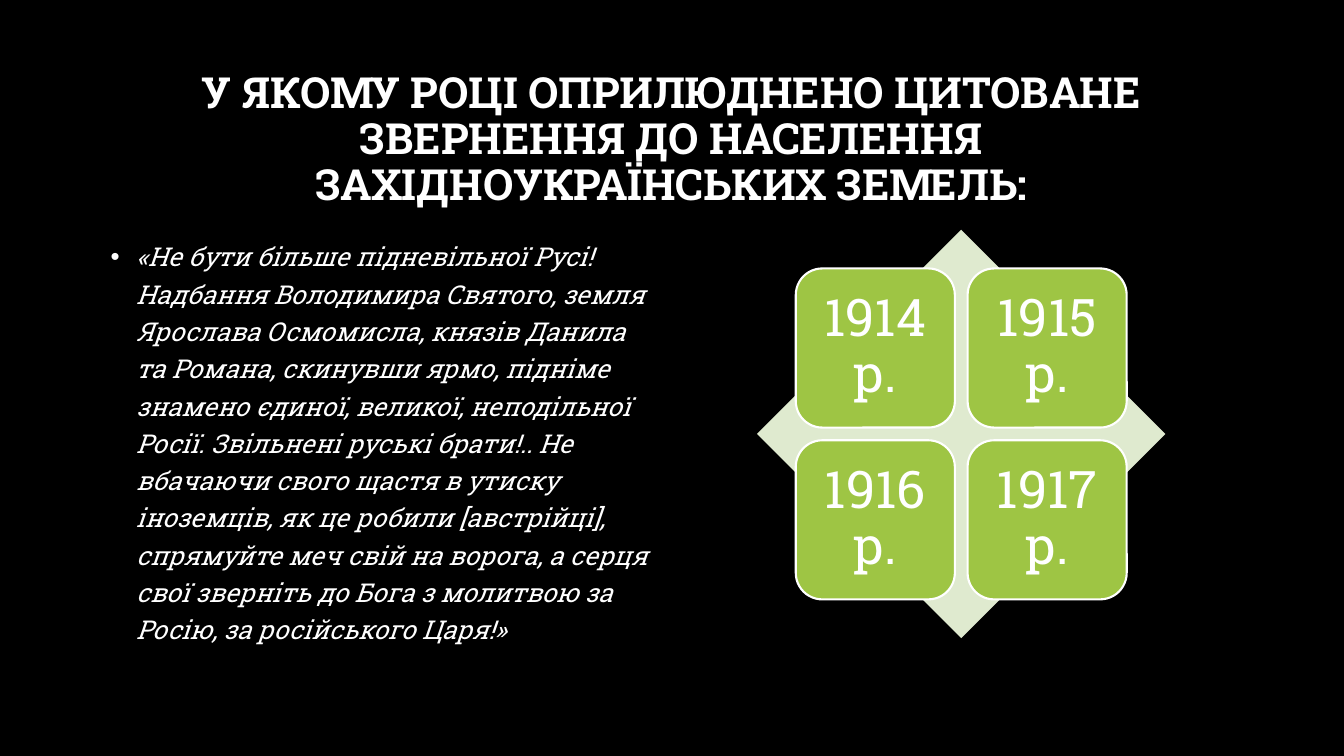
"""Build a quiz slide with a quotation and four years on a diamond."""
from lxml import etree
from pptx import Presentation
from pptx.dml.color import RGBColor
from pptx.enum.shapes import MSO_SHAPE
from pptx.enum.text import MSO_ANCHOR, MSO_AUTO_SIZE, PP_ALIGN
from pptx.oxml.ns import qn
from pptx.util import Cm, Pt

DIAMOND = MSO_SHAPE.DIAMOND
ROUNDED = MSO_SHAPE.ROUNDED_RECTANGLE
MIDDLE, TOP = MSO_ANCHOR.MIDDLE, MSO_ANCHOR.TOP
CENTER, LEFT = PP_ALIGN.CENTER, PP_ALIGN.LEFT
NO_AUTOFIT = MSO_AUTO_SIZE.NONE

FONT = "Roboto Slab"
BLACK, WHITE = "000000", "FFFFFF"
GREEN, PALE_GREEN = "9EC544", "DFEACF"

QUESTION = ("У ЯКОМУ РОЦІ ОПРИЛЮДНЕНО ЦИТОВАНЕ ЗВЕРНЕННЯ ДО НАСЕЛЕННЯ "
            "ЗАХІДНОУКРАЇНСЬКИХ ЗЕМЕЛЬ:")
QUOTE = ("«Не бути більше підневільної Русі! Надбання Володимира Святого, "
         "земля Ярослава Осмомисла, князів Данила та Романа, скинувши ярмо, "
         "підніме знамено єдиної, великої, неподільної Росії. Звільнені "
         "руські брати!.. Не вбачаючи свого щастя в утиску іноземців, як це "
         "робили [австрійці], спрямуйте меч свій на ворога, а серця свої "
         "зверніть до Бога з молитвою за Росію, за російського Царя!»")
YEARS = ["1914 р.", "1915 р.", "1916 р.", "1917 р."]

DIAMOND_LEFT, DIAMOND_TOP, DIAMOND_SIZE = 19.08, 5.79, 10.29
TILE_SIZE, TILE_PITCH = 4.01, 4.33
TILE_MARGIN = (DIAMOND_SIZE - TILE_PITCH - TILE_SIZE) / 2


def color(value):
    return RGBColor.from_string(value)


def write(shape, text, size, align, anchor, spacing, bold=False, italic=False):
    frame = shape.text_frame
    frame.text = text
    frame.word_wrap = True
    frame.auto_size = NO_AUTOFIT
    frame.vertical_anchor = anchor
    paragraph = frame.paragraphs[0]
    paragraph.alignment = align
    paragraph.line_spacing = spacing
    font = paragraph.runs[0].font
    font.name, font.size = FONT, Pt(size)
    font.bold, font.italic = bold, italic
    font.color.rgb = color(WHITE)
    return paragraph


def add_bullet(paragraph, indent):
    properties = paragraph._p.get_or_add_pPr()
    properties.set("marL", str(indent))
    properties.set("indent", str(-indent))
    etree.SubElement(properties, qn("a:buFont")).set("typeface", "Arial")
    etree.SubElement(properties, qn("a:buChar")).set("char", "•")


def add_title(slide):
    title = slide.shapes.title
    title.left, title.top = Cm(2.54), Cm(1.7)
    title.width, title.height = Cm(28.75), Cm(3.68)
    write(title, QUESTION, 30.6, CENTER, MIDDLE, 0.9, bold=True)


def add_quote(slide):
    box = slide.shapes.add_textbox(Cm(2.54), Cm(5.79), Cm(14.17), Cm(10.29))
    paragraph = write(box, QUOTE, 18.5, LEFT, TOP, 1.2, italic=True)
    add_bullet(paragraph, Cm(0.64))


def add_filled_shape(slide, kind, left, top, size, fill):
    shape = slide.shapes.add_shape(kind, Cm(left), Cm(top), Cm(size), Cm(size))
    shape.shadow.inherit = False
    shape.fill.solid()
    shape.fill.fore_color.rgb = color(fill)
    shape.line.fill.background()
    return shape


def add_year_tile(slide, index, year):
    row, column = divmod(index, 2)
    left = DIAMOND_LEFT + TILE_MARGIN + column * TILE_PITCH
    top = DIAMOND_TOP + TILE_MARGIN + row * TILE_PITCH
    tile = add_filled_shape(slide, ROUNDED, left, top, TILE_SIZE, GREEN)
    tile.line.color.rgb = color(WHITE)
    tile.line.width = Pt(1.5)
    write(tile, year, 37, CENTER, MIDDLE, 0.9)
    frame = tile.text_frame
    frame.margin_left = frame.margin_right = Cm(0.38)
    frame.margin_top = frame.margin_bottom = Cm(0.38)


def main():
    presentation = Presentation()
    presentation.slide_width, presentation.slide_height = Cm(33.87), Cm(19.05)
    slide = presentation.slides.add_slide(presentation.slide_layouts[5])
    slide.background.fill.solid()
    slide.background.fill.fore_color.rgb = color(BLACK)
    add_title(slide)
    add_quote(slide)
    add_filled_shape(slide, DIAMOND, DIAMOND_LEFT, DIAMOND_TOP, DIAMOND_SIZE,
                     PALE_GREEN)
    for index, year in enumerate(YEARS):
        add_year_tile(slide, index, year)
    presentation.save("out.pptx")


if __name__ == "__main__":
    main()
